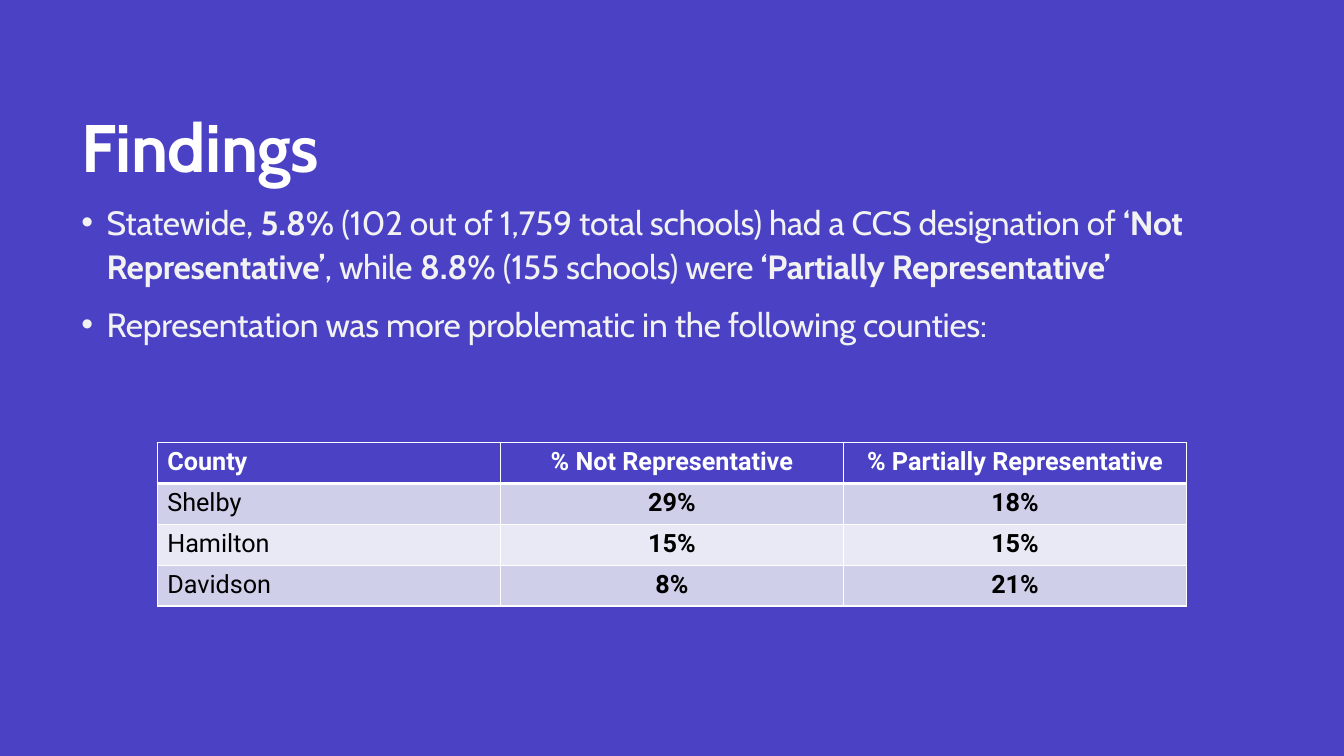
"""Build the Findings slide with two bullets and a table of counties."""
import lxml.etree
import pptx
import pptx.dml.color
import pptx.enum.text
import pptx.oxml
import pptx.oxml.ns
import pptx.util

Pt = pptx.util.Pt
RGBColor = pptx.dml.color.RGBColor
ALIGN = pptx.enum.text.PP_ALIGN
ANCHOR = pptx.enum.text.MSO_ANCHOR

INDIGO = RGBColor(0x4A, 0x41, 0xC5)
WHITE = RGBColor(0xFF, 0xFF, 0xFF)
OFF_WHITE = RGBColor(0xF2, 0xF2, 0xF2)
BLACK = RGBColor(0, 0, 0)
LAVENDER = RGBColor(0xD0, 0xCF, 0xEA)
PALE_LAVENDER = RGBColor(0xE9, 0xE9, 0xF5)

LEFT, WIDTH = 51.1, 830.9
BULLETS = [
    [
        ("Statewide, ", False),
        ("5.8%", True),
        (" (102 out of 1,759 total schools) had a CCS designation of ", False),
        ("‘Not Representative’", True),
        (", while ", False),
        ("8.8%", True),
        (" (155 schools) were ", False),
        ("‘Partially Representative’", True),
    ],
    [("Representation was more problematic in the following counties:", False)],
]
COUNTIES = [
    ("County", "% Not Representative", "% Partially Representative"),
    ("Shelby", "29%", "18%"),
    ("Hamilton", "15%", "15%"),
    ("Davidson", "8%", "21%"),
]
COLUMN_WIDTH, ROW_HEIGHT = 245.1, 29.2


def style(span, font, size, color, bold, spacing=0):
    span.font.name = font
    span.font.size = Pt(size)
    span.font.color.rgb = color
    span.font.bold = bold
    if spacing:
        span.font._element.set("spc", str(round(spacing * 100)))


def add_border(cell, side, width):
    line = lxml.etree.SubElement(
        cell._tc.get_or_add_tcPr(), pptx.oxml.ns.qn(f"a:ln{side}"), w=str(Pt(width)))
    fill = lxml.etree.SubElement(line, pptx.oxml.ns.qn("a:solidFill"))
    lxml.etree.SubElement(fill, pptx.oxml.ns.qn("a:srgbClr"), val=str(WHITE))


deck = pptx.Presentation()
deck.slide_width, deck.slide_height = Pt(960), Pt(540)
page = deck.slides.add_slide(deck.slide_layouts[5])
page.background.fill.solid()
page.background.fill.fore_color.rgb = INDIGO

title = page.shapes.title
title.left, title.top, title.width, title.height = Pt(LEFT), Pt(19.4), Pt(WIDTH), Pt(118.1)
title.text_frame.text = "Findings"
title.text_frame.auto_size = pptx.enum.text.MSO_AUTO_SIZE.NONE
title.text_frame.vertical_anchor = ANCHOR.BOTTOM
heading = title.text_frame.paragraphs[0]
heading.alignment = ALIGN.LEFT
heading.line_spacing = 0.9
style(heading.runs[0], "Cabin", 48, WHITE, True, -0.4)

body = page.shapes.add_textbox(Pt(LEFT), Pt(137.5), Pt(WIDTH), Pt(330.5))
body.text_frame.word_wrap = True
for index, pieces in enumerate(BULLETS):
    para = body.text_frame.add_paragraph() if index else body.text_frame.paragraphs[0]
    para.line_spacing = 1.1
    para.space_before = Pt(10)
    properties = para._p.get_or_add_pPr()
    properties.set("marL", str(Pt(18)))
    properties.set("indent", str(Pt(-18)))
    lxml.etree.SubElement(properties, pptx.oxml.ns.qn("a:buFont"), typeface="Arial")
    lxml.etree.SubElement(properties, pptx.oxml.ns.qn("a:buChar"), char="•")
    for text, bold in pieces:
        span = para.add_run()
        span.text = text
        style(span, "Cabin", 24, OFF_WHITE, bold, -0.2)

row_count, column_count = len(COUNTIES), len(COUNTIES[0])
table = page.shapes.add_table(
    row_count, column_count, Pt(112.3), Pt(316.1),
    Pt(COLUMN_WIDTH * column_count), Pt(ROW_HEIGHT * row_count)).table
for column in table.columns:
    column.width = Pt(COLUMN_WIDTH)
for row_index, values in enumerate(COUNTIES):
    table.rows[row_index].height = Pt(ROW_HEIGHT)
    header = row_index == 0
    for column_index, value in enumerate(values):
        cell = table.cell(row_index, column_index)
        cell.text_frame.text = value
        para = cell.text_frame.paragraphs[0]
        para.alignment = ALIGN.CENTER if column_index else ALIGN.LEFT
        style(para.runs[0], "Roboto", 18, WHITE if header else BLACK,
              header or column_index > 0)
        add_border(cell, "L", 1)
        add_border(cell, "R", 1)
        add_border(cell, "T", 3 if row_index == 1 else 1)
        add_border(cell, "B", 3 if header else 1)
        cell.fill.solid()
        cell.fill.fore_color.rgb = (
            INDIGO if header else LAVENDER if row_index % 2 else PALE_LAVENDER)

deck.save("out.pptx")
